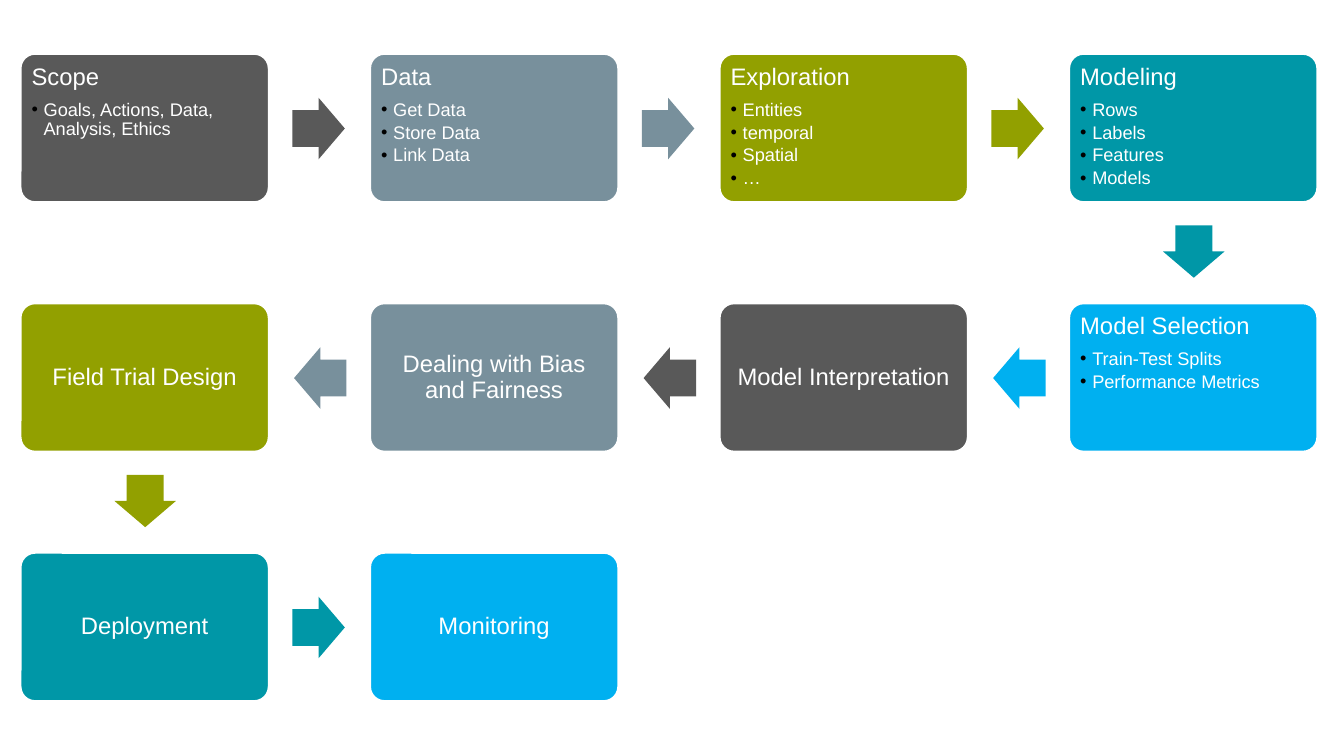
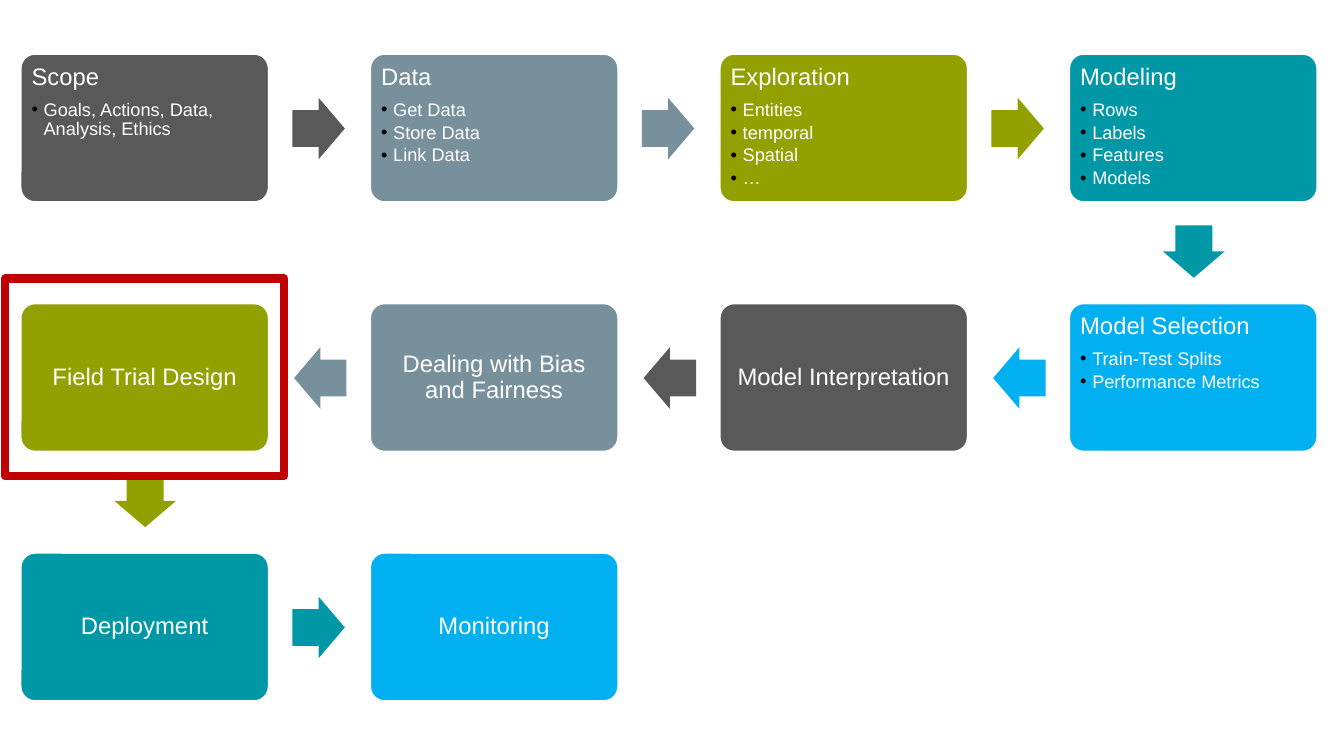
from dataclasses import dataclass

from lxml import etree
from pptx import Presentation
from pptx import util as u
from pptx.dml.color import RGBColor
from pptx.enum import shapes, text
from pptx.oxml import ns


@dataclass(frozen=True)
class Theme:
    font: str = "Arial"
    head: int = 17
    item: int = 13
    light: str = "FFFFFF"
    dot: str = "000000"
    mark: str = "C00000"
    fills: tuple = ("595959", "78909C", "92A000", "0097A7", "00B0F0")


theme = Theme()
kinds = shapes.MSO_SHAPE

steps = [
    ("Scope", ["Goals, Actions, Data, Analysis, Ethics"]),
    ("Data", ["Get Data", "Store Data", "Link Data"]),
    ("Exploration", ["Entities", "temporal", "Spatial", "…"]),
    ("Modeling", ["Rows", "Labels", "Features", "Models"]),
    ("Model Selection", ["Train-Test Splits", "Performance Metrics"]),
    ("Model Interpretation", []),
    ("Dealing with Bias and Fairness", []),
    ("Field Trial Design", []),
    ("Deployment", []),
    ("Monitoring", []),
]
marked = [None, "Field Trial Design"]  # step framed on each slide

cols = 4
left, top = 0.2, 0.53
wide, high = 2.47, 1.48
step_x = (10.6 - left) / (cols - 1)
step_y = (5.48 - top) / 2

# Arrow offset from its box, and rotation, by the way the flow goes on
turns = {"right": (2.7, 0.44, 0), "left": (-0.75, 0.44, 180), "down": (0.98, 1.66, 90)}


def draw(slide, kind, x, y, w, h, fill=None, line=None, width=0):
    shape = slide.shapes.add_shape(kind, *(u.Inches(n) for n in (x, y, w, h)))
    shape.shadow.inherit = False
    if fill:
        shape.fill.solid()
        shape.fill.fore_color.rgb = RGBColor.from_string(fill)
    else:
        shape.fill.background()
    if line:
        shape.line.color.rgb = RGBColor.from_string(line)
        shape.line.width = u.Pt(width)
    else:
        shape.line.fill.background()
    return shape


def write(para, words, size=theme.head, after=7, align=text.PP_ALIGN.LEFT, bullet=False):
    run = para.add_run()
    run.text = words
    run.font.name = theme.font
    run.font.size = u.Pt(size)
    run.font.color.rgb = RGBColor.from_string(theme.light)
    para.alignment = align
    para.line_spacing = 0.9
    para.space_after = u.Pt(after)
    if bullet:
        para.level = 1
        props = para._p.get_or_add_pPr()
        props.set("marL", str(u.Inches(0.12)))
        props.set("indent", str(-u.Inches(0.12)))
        tint = etree.SubElement(props, ns.qn("a:buClr"))
        etree.SubElement(tint, ns.qn("a:srgbClr"), val=theme.dot)
        etree.SubElement(props, ns.qn("a:buFont"), typeface=theme.font)
        etree.SubElement(props, ns.qn("a:buChar"), char="•")


deck = Presentation()
deck.slide_width, deck.slide_height = u.Inches(13.33), u.Inches(7.5)

for chosen in marked:
    slide = deck.slides.add_slide(deck.slide_layouts[6])
    frame = None
    for i, (name, items) in enumerate(steps):
        row, col = divmod(i, cols)
        back = row % 2 == 1
        last = col == cols - 1
        if back:
            col = cols - 1 - col
        x, y = left + col * step_x, top + row * step_y
        fill = theme.fills[i % len(theme.fills)]

        box = draw(slide, kinds.ROUNDED_RECTANGLE, x, y, wide, high, fill, theme.light, 2)
        box.adjustments[0] = 0.1
        body = box.text_frame
        body.word_wrap = True
        body.margin_left = body.margin_right = u.Inches(0.07)
        body.margin_top = body.margin_bottom = u.Inches(0.07)
        if items:
            body.vertical_anchor = text.MSO_ANCHOR.TOP
            write(body.paragraphs[0], name)
        else:
            body.vertical_anchor = text.MSO_ANCHOR.MIDDLE
            write(body.paragraphs[0], name, align=text.PP_ALIGN.CENTER)
        for item in items:
            write(body.add_paragraph(), item, size=theme.item, after=2.3, bullet=True)

        if i < len(steps) - 1:
            way = "down" if last else "left" if back else "right"
            dx, dy, angle = turns[way]
            arrow = draw(slide, kinds.RIGHT_ARROW, x + dx, y + dy, 0.52, 0.61, fill)
            arrow.adjustments[0], arrow.adjustments[1] = 0.6, 0.5
            arrow.rotation = angle

        if name == chosen:
            frame = (x - 0.15, y - 0.24, 2.77, 1.96)

    if frame:
        draw(slide, kinds.RECTANGLE, *frame, line=theme.mark, width=6)

deck.save("out.pptx")
